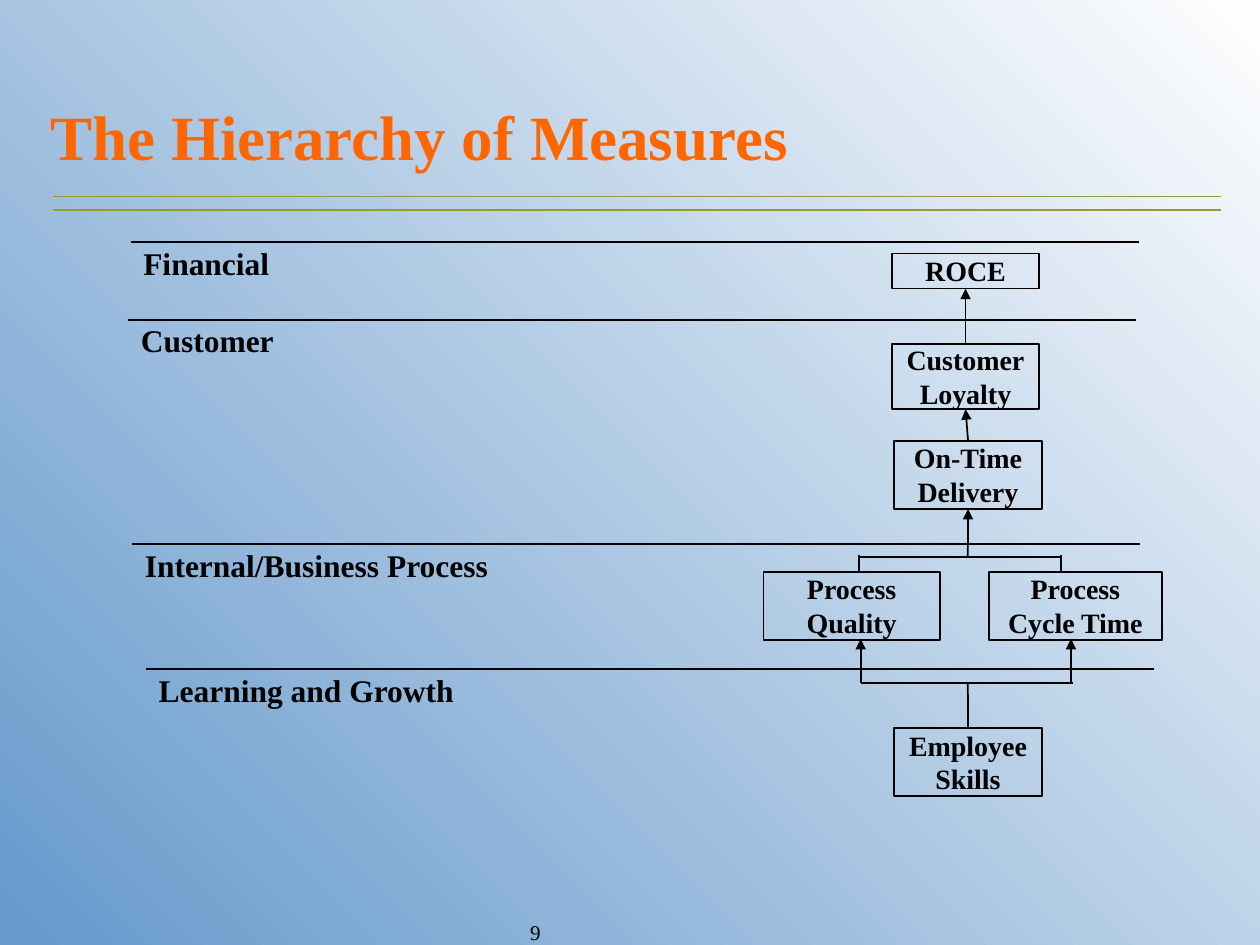
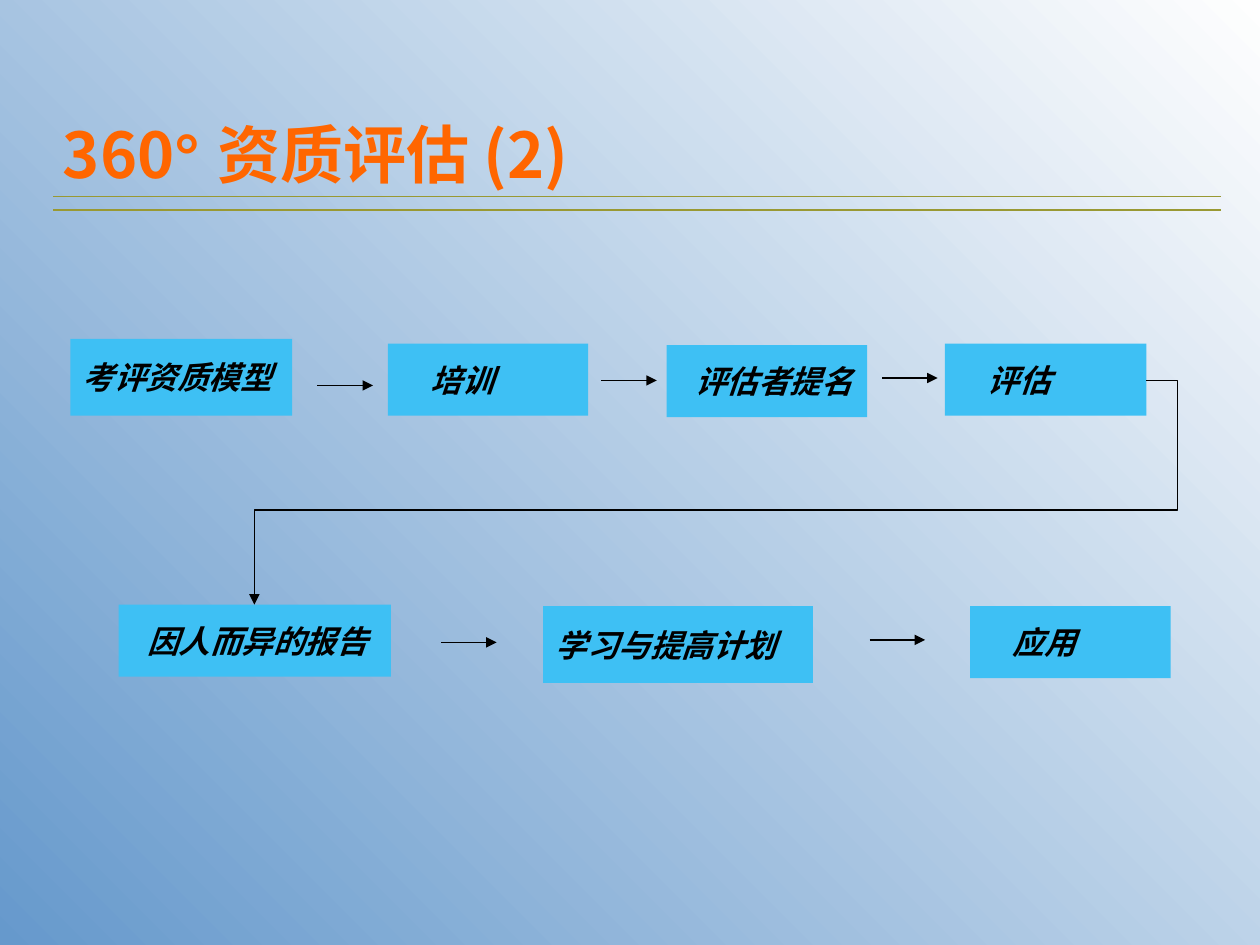
from dataclasses import dataclass

from lxml import etree
from pptx import Presentation
from pptx.dml.color import RGBColor
from pptx.enum.shapes import MSO_CONNECTOR as LINK, MSO_SHAPE as SHAPE
from pptx.enum.text import MSO_ANCHOR as ANCHOR, PP_ALIGN as ALIGN
from pptx.oxml.ns import qn
from pptx.util import Cm, Pt

# Shared look
WHITE = RGBColor(0xFE, 0xFE, 0xFE)
BLUE = RGBColor(0x66, 0x99, 0xCC)
ORANGE = RGBColor(0xFF, 0x66, 0x00)
OLIVE = RGBColor(0x99, 0x99, 0x33)
SKY = RGBColor(0x3E, 0xC0, 0xF4)
BLACK = RGBColor(0, 0, 0)
SERIF, SANS, HAN = "Times New Roman", "Arial", "Noto Sans CJK SC"

TITLE = {"size": Pt(36), "bold": True}
LABEL = {"size": Pt(18), "bold": True}
MEASURE = {"size": Pt(16), "bold": True}
STEP = {"size": Pt(18), "bold": True, "italic": True}
NUMBER = {"size": Pt(12)}


@dataclass
class Box:
    """A region in centimetres."""
    left: float
    top: float
    width: float
    height: float

    def inner(self, x, y, width, height):
        return Box(self.left + x, self.top + y, width, height)

    def point(self, x, y):
        return self.left + x, self.top + y

    def lengths(self):
        return [Cm(v) for v in (self.left, self.top, self.width, self.height)]


TITLE_BOX = Box(1.02, 1.45, 23.5, 2.54)
RULES_BOX = Box(1.07, 3.96, 23.54, 0.28)
HIERARCHY_BOX = Box(2.59, 4.88, 20.83, 11.17)
PROCESS_BOX = Box(1.42, 6.83, 22.18, 6.94)
NUMBER_BOX = Box(10.08, 18.21, 5.28, 0.84)


# Building blocks
def set_frame(shape, inset_x, inset_y, anchor, wrap=True):
    values = {"margin_left": Cm(inset_x), "margin_right": Cm(inset_x),
              "margin_top": Cm(inset_y), "margin_bottom": Cm(inset_y),
              "vertical_anchor": anchor, "word_wrap": wrap}
    for name, value in values.items():
        setattr(shape.text_frame, name, value)


def add_span(para, text, style, face, colour=BLACK):
    span = para.add_run()
    span.text = text
    for name, value in {**style, "name": face}.items():
        setattr(span.font, name, value)
    span.font.color.rgb = colour
    if face != SERIF:
        east_asian = etree.SubElement(span.font._element, qn("a:ea"))
        east_asian.set("typeface", HAN)


def add_text(page, box, spans, style, colour=BLACK, inset_x=0.25, inset_y=0.13,
             anchor=ANCHOR.TOP, indent=0):
    shape = page.shapes.add_textbox(*box.lengths())
    set_frame(shape, inset_x, inset_y, anchor)
    para = shape.text_frame.paragraphs[0]
    set_indent(para, indent)
    for text, face in spans:
        add_span(para, text, style, face, colour)


def set_indent(para, indent):
    if indent:
        para._p.get_or_add_pPr().set("marL", str(Cm(indent)))


def add_box(page, box, fill=None):
    shape = page.shapes.add_shape(SHAPE.RECTANGLE, *box.lengths())
    shape.shadow.inherit = False
    if fill is None:
        shape.fill.background()
        shape.line.color.rgb = BLACK
        shape.line.width = Pt(1)
    else:
        shape.fill.solid()
        shape.fill.fore_color.rgb = fill
        shape.line.fill.background()
    return shape


def add_line(page, start, end, colour=BLACK, arrow=False, kind=LINK.STRAIGHT):
    line = page.shapes.add_connector(kind, *[Cm(v) for v in (*start, *end)])
    line.line.color.rgb = colour
    line.line.width = Pt(1)
    properties = line._element.spPr
    if arrow:
        outline = properties.find(qn("a:ln"))
        etree.SubElement(outline, qn("a:tailEnd")).set("type", "triangle")
    etree.SubElement(properties, qn("a:effectLst"))
    return line


# Regions shared by the slides
def set_background(deck):
    fill = deck.slide_master.background.fill
    fill.gradient()
    fill.gradient_angle = 225
    for stop, colour, position in zip(fill.gradient_stops, (WHITE, BLUE), (0, 1)):
        stop.color.rgb = colour
        stop.position = position


def add_rules(page, box):
    for y in (0, box.height):
        add_line(page, box.point(0, y), box.point(box.width, y), OLIVE)


def add_page(deck, title_spans, **title_frame):
    page = deck.slides.add_slide(deck.slide_layouts[6])
    add_text(page, TITLE_BOX, title_spans, TITLE, ORANGE, **title_frame)
    add_rules(page, RULES_BOX)
    return page


# Hierarchy of measures
def add_perspectives(page, box):
    for name, x, y, width in (("Financial", 0.05, 0, 3.81),
                              ("Customer", 0, 1.57, 3.81),
                              ("Internal/Business Process", 0.08, 6.09, 7.87),
                              ("Learning and Growth", 0.36, 8.61, 7.87)):
        add_line(page, box.point(x, y), box.point(x + 20.32, y))
        add_text(page, box.inner(x, y - 0.1, width, 1.02), [(name, SERIF)], LABEL)


def add_measure(page, box, lines, anchor=ANCHOR.TOP):
    shape = add_box(page, box)
    set_frame(shape, 0.25, 0, anchor)
    frame = shape.text_frame
    for number, text in enumerate(lines):
        para = frame.add_paragraph() if number else frame.paragraphs[0]
        para.alignment = ALIGN.CENTER
        add_span(para, text, MEASURE, SERIF)
    return shape


def add_measures(page, box):
    roce = add_measure(page, box.inner(15.39, 0.23, 2.97, 0.71), ["ROCE"])
    loyalty = add_measure(page, box.inner(15.39, 2.05, 2.97, 1.32),
                          ["Customer", "Loyalty"], ANCHOR.MIDDLE)
    delivery = add_measure(page, box.inner(15.44, 4.01, 2.97, 1.37),
                           ["On-Time", "Delivery"])
    add_measure(page, box.inner(12.8, 6.65, 3.56, 1.37), ["Process", "Quality"])
    add_measure(page, box.inner(17.35, 6.65, 3.48, 1.37), ["Process Cycle Time"])
    skills = add_measure(page, box.inner(15.44, 9.8, 2.97, 1.37),
                         ["Employee", "Skills"])

    # Single arrows up the customer and financial levels
    for lower, upper in ((loyalty, roce), (delivery, loyalty)):
        arrow = add_line(page, box.point(0, 0), box.point(0, 0), arrow=True)
        arrow.begin_connect(lower, 0)
        arrow.end_connect(upper, 2)

    # Processes merge into delivery
    stem_x, merge_y, split_y = 16.92, 6.35, 8.89
    for x in (14.73, 18.8):
        add_line(page, box.point(x, 6.65), box.point(x, 6.3))
    add_line(page, box.point(14.73, merge_y), box.point(18.8, merge_y))
    stem = add_line(page, box.point(stem_x, merge_y),
                    box.point(stem_x, 5.38), arrow=True)
    stem.end_connect(delivery, 2)

    # Skills split towards both processes
    for x in (14.76, 19):
        add_line(page, box.point(x, split_y), box.point(x, 8), arrow=True)
    add_line(page, box.point(14.76, split_y), box.point(19.05, split_y))
    stem = add_line(page, box.point(stem_x, 9.8), box.point(stem_x, split_y))
    stem.begin_connect(skills, 0)


# Assessment process
def add_steps(page, box):
    for text, x, y, width, height, indent in (
            ("考评资质模型", 0, 0, 4.47, 1.55, 0),
            ("培训", 6.4, 0.1, 4.04, 1.45, 0.61),
            ("评估者提名", 12.02, 0.13, 4.04, 1.45, 0.33),
            ("评估", 17.63, 0.1, 4.06, 1.45, 0.61),
            ("因人而异的报告", 0.97, 5.36, 5.49, 1.45, 0.33),
            ("学习与提高计划", 9.53, 5.39, 5.44, 1.55, 0),
            ("应用", 18.14, 5.39, 4.04, 1.45, 0.61)):
        shape = add_box(page, box.inner(x, y, width, height), SKY)
        set_frame(shape, 0.25, 0.13, ANCHOR.MIDDLE, wrap=False)
        para = shape.text_frame.paragraphs[0]
        para.alignment = ALIGN.LEFT
        set_indent(para, indent)
        add_span(para, text, STEP, HAN)


def add_flow(page, box):
    for x, y in ((4.98, 0.94), (10.7, 0.84), (16.36, 0.79),
                 (7.47, 6.12), (16.11, 6.07)):
        add_line(page, box.point(x, y), box.point(x + 1.12, y), arrow=True)

    # Return from the first row to the second
    turn = add_line(page, box.point(21.69, 0.84), box.point(3.71, 5.36),
                    arrow=True, kind=LINK.ELBOW)
    geometry = turn._element.spPr.find(qn("a:prstGeom"))
    geometry.set("prst", "bentConnector4")
    bends = geometry.find(qn("a:avLst"))
    for name, value in (("adj1", -3500), ("adj2", 57900)):
        guide = etree.SubElement(bends, qn("a:gd"))
        guide.set("name", name)
        guide.set("fmla", f"val {value}")


def main():
    deck = Presentation()
    deck.slide_width, deck.slide_height = Cm(25.4), Cm(19.05)
    set_background(deck)

    page = add_page(deck, [("The Hierarchy of Measures", SERIF)],
                    inset_x=0, inset_y=0, anchor=ANCHOR.MIDDLE)
    add_perspectives(page, HIERARCHY_BOX)
    add_measures(page, HIERARCHY_BOX)
    add_text(page, NUMBER_BOX, [("9", SERIF)], NUMBER, inset_x=0, inset_y=0,
             anchor=ANCHOR.BOTTOM, indent=0.61)

    page = add_page(deck, [("360", HAN), ("° ", SANS), ("资质评估 (2)", HAN)],
                    anchor=ANCHOR.BOTTOM)
    add_steps(page, PROCESS_BOX)
    add_flow(page, PROCESS_BOX)

    deck.save("out.pptx")


if __name__ == "__main__":
    main()
